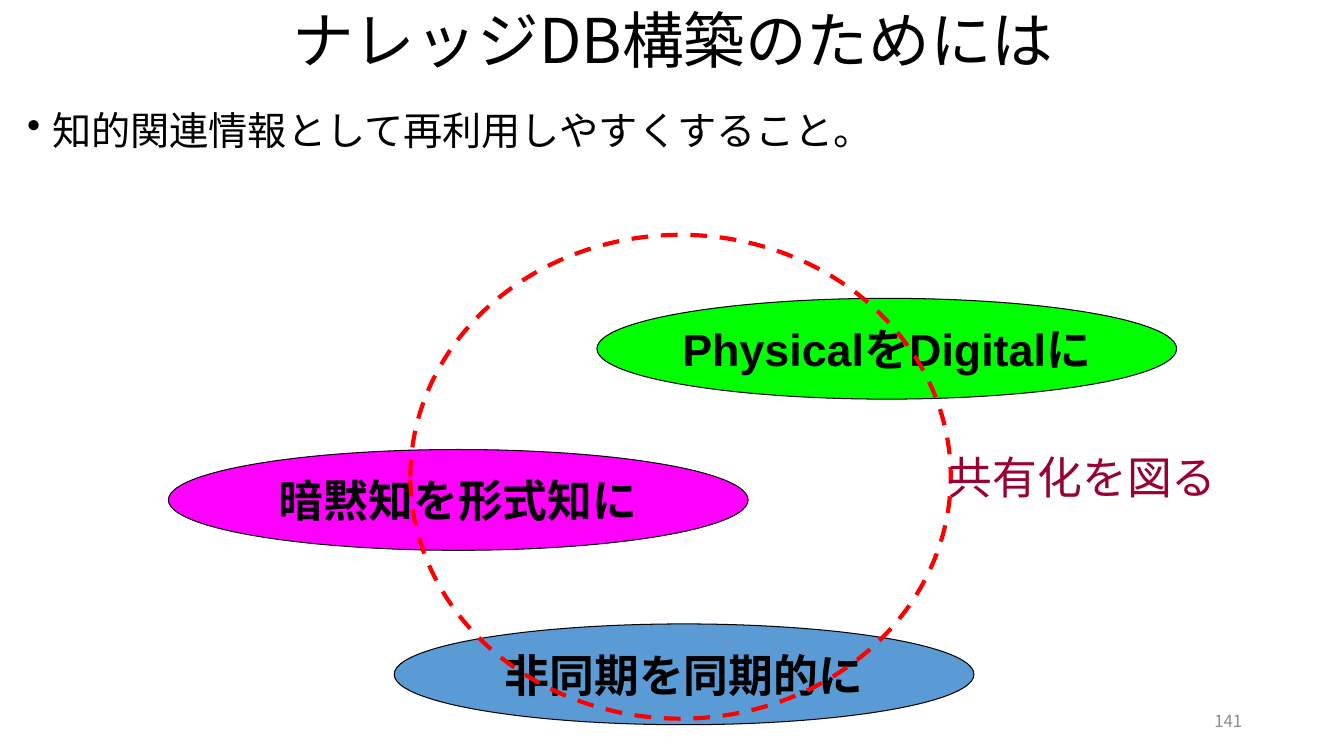
from dataclasses import dataclass

import lxml.etree
import pptx
import pptx.dml.color
import pptx.enum.dml
import pptx.enum.shapes
import pptx.enum.text
import pptx.oxml.ns
import pptx.shapes.autoshape
import pptx.util

Inches = pptx.util.Inches
Align = pptx.enum.text.PP_ALIGN
Anchor = pptx.enum.text.MSO_ANCHOR

JAPANESE_FONT = "Noto Sans CJK JP"
OVAL_SIZE = (5.75, 1)


@dataclass
class Label:
    text: str
    box: tuple[float, float, float, float]
    size: float
    color: str = "000000"
    align: Align = Align.LEFT
    anchor: Anchor = Anchor.MIDDLE
    font: str = JAPANESE_FONT
    bold: bool = False
    wrap: bool = True
    margin: float = 0.1
    line_spacing: float = 1.0
    bullet: str = ""


@dataclass
class Oval:
    text: str
    left: float
    top: float
    fill: str


LABELS = [
    Label("141", (9.42, 6.95, 3, 0.4), 12, "8C8C8C", Align.RIGHT),
    Label("ナレッジDB構築のためには", (0.13, 0.03, 13.09, 0.81), 44,
          align=Align.CENTER, line_spacing=0.9),
    Label("知的関連情報として再利用しやすくすること。", (0.17, 1.06, 11.5, 0.7), 28,
          anchor=Anchor.TOP, line_spacing=0.9, bullet="•"),
]
OVALS = [
    Oval("暗黙知を形式知に", 1.67, 4.46, "FF00FF"),
    Oval("PhysicalをDigitalに", 5.92, 2.96, "00FF00"),
    Oval("非同期を同期的に", 3.91, 6.19, "5B9BD5"),
]
SHARING_RING = (4.07, 2.33, 5.36, 4.8)
SHARING_LABEL = Label("共有化を図る", (9.4, 4.33, 2.8, 0.8), 32, "990033",
                      font="Arial", wrap=False, margin=0)


def rgb(value: str) -> pptx.dml.color.RGBColor:
    return pptx.dml.color.RGBColor.from_string(value)


def apply_format(target: object, values: dict[str, object]) -> None:
    for name, value in values.items():
        setattr(target, name, value)


def add_bullet(paragraph, character: str) -> None:
    properties = paragraph._p.get_or_add_pPr()
    properties.set("marL", str(Inches(0.25)))
    properties.set("indent", str(Inches(-0.25)))
    bullet = lxml.etree.SubElement(properties, pptx.oxml.ns.qn("a:buChar"))
    bullet.set("char", character)


def write_label(shape: pptx.shapes.autoshape.Shape, label: Label) -> None:
    frame = shape.text_frame
    apply_format(frame, {
        "word_wrap": label.wrap,
        "vertical_anchor": label.anchor,
        "margin_left": Inches(label.margin),
        "margin_right": Inches(label.margin),
    })
    paragraph = frame.paragraphs[0]
    apply_format(paragraph, {
        "alignment": label.align,
        "line_spacing": label.line_spacing,
    })
    if label.bullet:
        add_bullet(paragraph, label.bullet)
    run = paragraph.add_run()
    run.text = label.text
    apply_format(run.font, {
        "size": pptx.util.Pt(label.size),
        "name": label.font,
        "bold": label.bold,
    })
    run.font.color.rgb = rgb(label.color)
    east_asian = lxml.etree.SubElement(run._r.get_or_add_rPr(), pptx.oxml.ns.qn("a:ea"))
    east_asian.set("typeface", JAPANESE_FONT)


def add_label(slide, label: Label) -> None:
    write_label(slide.shapes.add_textbox(*map(Inches, label.box)), label)


def add_ellipse(slide, box: tuple[float, float, float, float], line_color: str,
                line_width: float) -> pptx.shapes.autoshape.Shape:
    shape = slide.shapes.add_shape(
        pptx.enum.shapes.MSO_SHAPE.OVAL, *map(Inches, box))
    shape.shadow.inherit = False
    shape.line.color.rgb = rgb(line_color)
    shape.line.width = pptx.util.Pt(line_width)
    return shape


def add_oval(slide, oval: Oval) -> None:
    box = (oval.left, oval.top, *OVAL_SIZE)
    shape = add_ellipse(slide, box, "000000", 0.75)
    shape.fill.solid()
    shape.fill.fore_color.rgb = rgb(oval.fill)
    write_label(shape, Label(oval.text, box, 32, align=Align.CENTER,
                             font="Arial", bold=True, wrap=False))


def add_sharing_ring(slide) -> None:
    ring = add_ellipse(slide, SHARING_RING, "FF0000", 3)
    ring.fill.background()
    ring.line.dash_style = pptx.enum.dml.MSO_LINE.DASH
    add_label(slide, SHARING_LABEL)


def main() -> None:
    presentation = pptx.Presentation()
    presentation.slide_width = Inches(13.33)
    presentation.slide_height = Inches(7.5)
    slide = presentation.slides.add_slide(presentation.slide_layouts[6])
    for label in LABELS:
        add_label(slide, label)
    for oval in OVALS:
        add_oval(slide, oval)
    add_sharing_ring(slide)
    presentation.save("out.pptx")


if __name__ == "__main__":
    main()
